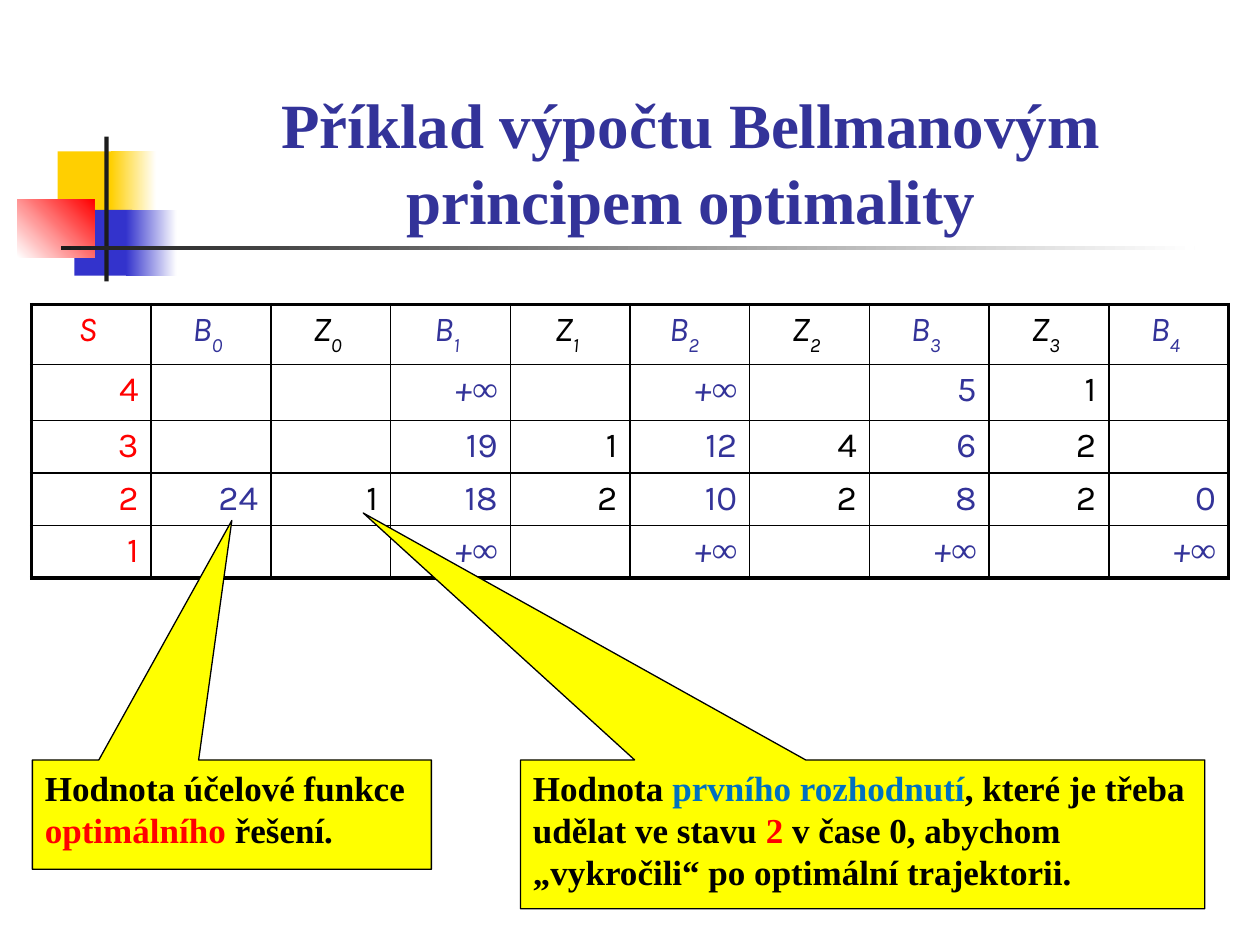
import pptx
import pptx.util
import pptx.dml.color
import pptx.enum.shapes
import pptx.enum.text
import pptx.oxml
import pptx.oxml.ns

Pt = pptx.util.Pt
SHAPE = pptx.enum.shapes.MSO_SHAPE
ALIGN = pptx.enum.text.PP_ALIGN
ANCHOR = pptx.enum.text.MSO_ANCHOR
HUES = {
    "gold": "FFCF01", "blue": "3333CC", "red": "FF0000", "dark": "1C1C1C",
    "white": "FFFFFF", "navy": "333399", "black": "000000",
    "yellow": "FFFF00", "sky": "0070C0",
}
SERIF, SANS = "Times New Roman", "Karla"
HEADS = ["S", "B0", "Z0", "B1", "Z1", "B2 ", "Z2", "B3", "Z3", "B4"]
ROWS = [
    ["4", "", "", "+∞", "", "+∞", "", "5", "1", ""],
    ["3", "", "", "19", "1", "12", "4", "6", "2", ""],
    ["2", "24", "1", "18", "2", "10", "2", "8", "2", "0"],
    ["1", "", "", "+∞", "", "+∞", "", "+∞", "", "+∞"],
]


def rgb(hue):
    return pptx.dml.color.RGBColor.from_string(HUES[hue])


def assign(item, form):
    for key, value in form.items():
        setattr(item, key, value)


def write(para, text, hue, **form):
    run = para.add_run()
    run.text = text
    assign(run.font, form)
    run.font.color.rgb = rgb(hue)
    return run


def block(slide, box, first, last=None, angle=0):
    shape = slide.shapes.add_shape(SHAPE.RECTANGLE, *map(Pt, box))
    shape.shadow.inherit = False
    shape.line.fill.background()
    if last is None:
        shape.fill.solid()
        shape.fill.fore_color.rgb = rgb(first)
        return
    shape.fill.gradient()
    shape.fill.gradient_angle = angle
    for stop, hue, place in zip(shape.fill.gradient_stops, (first, last), (0, 1)):
        stop.color.rgb = rgb(hue)
        stop.position = place


def emblem(slide, left, top):
    parts = [
        ((23, 8.5, 34.5, 37.5), "gold"),
        ((53.3, 8.5, 26, 37.5), "gold", "white"),
        ((32.5, 42, 33, 37.5), "blue"),
        ((62, 42, 29, 37.5), "blue", "white"),
        ((0, 36, 44, 33), "white", "red", 45),
        ((49.7, 0, 2.4, 82.8), "dark"),
        ((24.7, 62.3, 648, 2.4), "dark", "white"),
    ]
    for (x, y, wide, high), *style in parts:
        block(slide, (left + x, top + y, wide, high), *style)


def title(slide, box):
    frame = slide.shapes.add_textbox(*map(Pt, box)).text_frame
    assign(frame, {"word_wrap": True, "vertical_anchor": ANCHOR.BOTTOM})
    para = frame.paragraphs[0]
    para.alignment = ALIGN.CENTER
    write(para, "Příklad výpočtu Bellmanovým principem optimality", "navy",
          size=Pt(36), name=SERIF, bold=True)


def border(cell, sides):
    props = cell._tc.get_or_add_tcPr()
    for spot, (side, width) in enumerate(sides.items()):
        props.insert(spot, pptx.oxml.parse_xml(
            f'<a:ln{side} {pptx.oxml.ns.nsdecls("a")} w="{Pt(width)}">'
            f'<a:solidFill><a:srgbClr val="{HUES["black"]}"/></a:solidFill>'
            f'</a:ln{side}>'))


def fill_cell(cell, text, hue, head):
    para = cell.text_frame.paragraphs[0]
    para.alignment = ALIGN.CENTER if head else ALIGN.RIGHT
    slant = head or "∞" in text
    form = {"size": Pt(20), "italic": slant}
    if not slant:
        write(para, text, hue, name=SANS, **form)
        return
    write(para, text[0], hue, name=SANS, **form)
    if text[1:]:
        tail = write(para, text[1:], hue, name=SANS if head else SERIF, **form)
        if head:
            tail._r.get_or_add_rPr().set("baseline", "-30000")


def grid(slide, box, highs):
    data = [HEADS] + ROWS
    count, span = len(data), len(HEADS)
    table = slide.shapes.add_table(count, span, *map(Pt, box)).table
    assign(table, {"first_row": False, "horz_banding": False})
    for col in table.columns:
        col.width = Pt(box[2] / span)
    for row, high in zip(table.rows, highs):
        row.height = Pt(high)
    edges = {"margin_left": Pt(3), "margin_top": Pt(3),
             "margin_right": Pt(7.2), "margin_bottom": Pt(3)}
    for r, line in enumerate(data):
        for c, text in enumerate(line):
            cell = table.cell(r, c)
            assign(cell, edges)
            cell.fill.background()
            outer = {"L": c == 0, "R": c == span - 1,
                     "T": r == 0, "B": r == count - 1}
            border(cell, {side: 2.25 if edge else 1
                          for side, edge in outer.items()})
            hue = "red" if c == 0 else "navy" if c % 2 else "black"
            if text:
                fill_cell(cell, text, hue, r == 0)


def callout(slide, box, point, parts):
    shape = slide.shapes.add_shape(SHAPE.RECTANGULAR_CALLOUT, *map(Pt, box))
    shape.shadow.inherit = False
    for spot, value in enumerate(point):
        shape.adjustments[spot] = value
    shape.fill.solid()
    shape.fill.fore_color.rgb = rgb("yellow")
    shape.line.color.rgb = rgb("black")
    shape.line.width = Pt(0.75)
    frame = shape.text_frame
    assign(frame, {"word_wrap": True, "vertical_anchor": ANCHOR.TOP})
    para = frame.paragraphs[0]
    para.alignment = ALIGN.LEFT
    for text, hue in parts:
        write(para, text, hue, size=Pt(20), name=SERIF, bold=True)


def main():
    deck = pptx.Presentation()
    assign(deck, {"slide_width": Pt(720), "slide_height": Pt(540)})
    slide = deck.slides.add_slide(deck.slide_layouts[6])
    emblem(slide, 10, 78)
    title(slide, (88, 49, 613.5, 90))
    grid(slide, (18, 174, 684, 153.5), (33, 32, 29.5, 29.5, 29.5))
    callout(slide, (18.5, 434.25, 228, 62.5), (0, -2.69), [
        ("Hodnota účelové funkce ", "black"),
        ("optimálního", "red"),
        (" řešení.", "black"),
    ])
    callout(slide, (297.5, 434.25, 391, 85), (-0.73, -2.16), [
        ("Hodnota ", "black"),
        ("prvního rozhodnutí", "sky"),
        (", které je třeba udělat ve stavu ", "black"),
        ("2", "red"),
        (" v čase 0, abychom „vykročili“ po optimální trajektorii.", "black"),
    ])
    deck.save("out.pptx")


if __name__ == "__main__":
    main()
